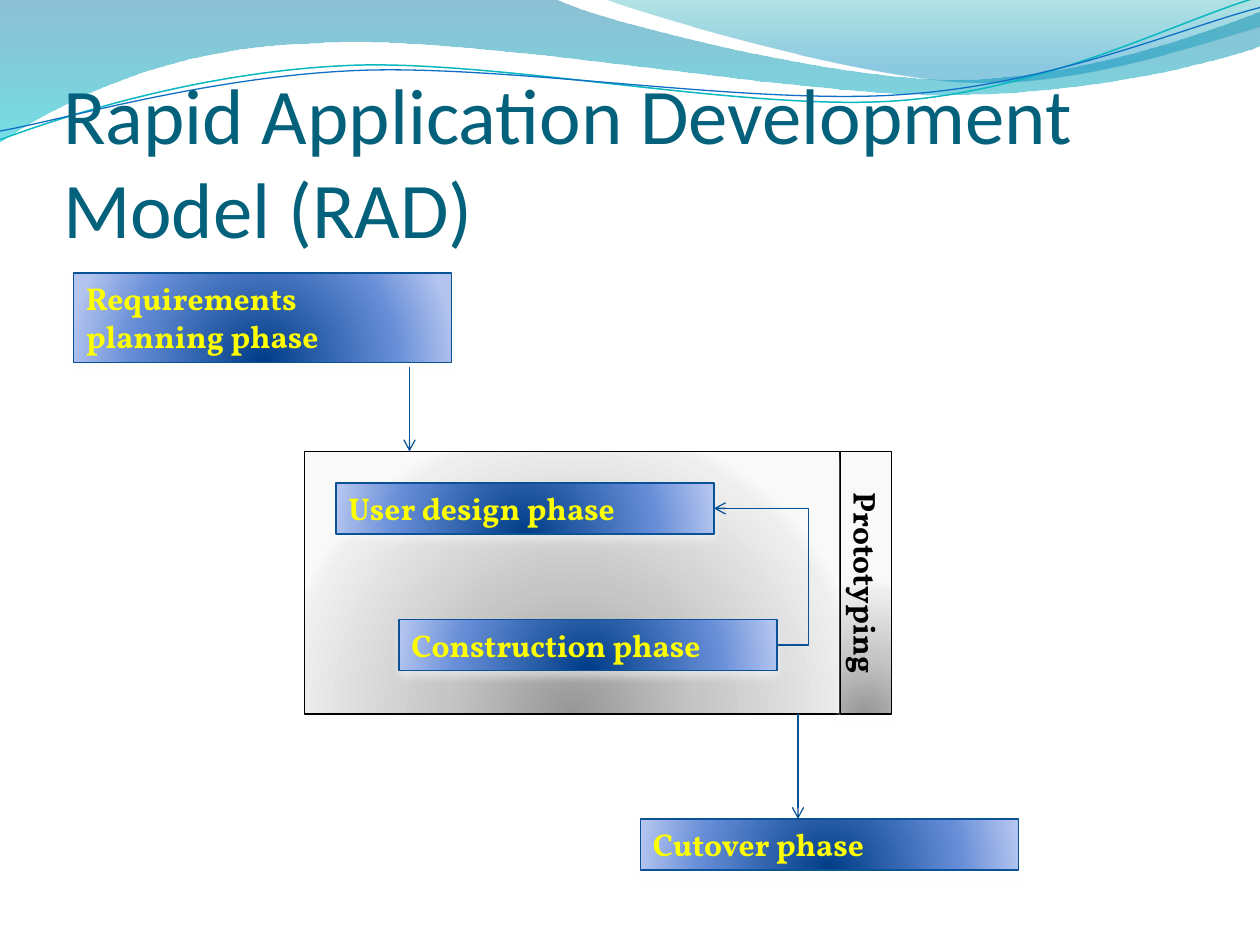
from dataclasses import dataclass
from lxml.etree import SubElement as Sub
from pptx import Presentation
from pptx.dml.color import RGBColor as Rgb
from pptx.enum.shapes import MSO_CONNECTOR as Link, MSO_SHAPE as Kind
from pptx.enum.text import MSO_ANCHOR as Anchor, MSO_AUTO_SIZE as Auto, PP_ALIGN as Align
from pptx.oxml.ns import qn
from pptx.util import Inches, Pt

UNIT = Inches(1) / 12  # the slide is a grid of 120 columns by 90 rows
ROW = 4.85             # height of a box with one line of text


@dataclass(frozen=True)
class Theme:
    head: str = "Calibri"
    body: str = "Vollkorn"
    big: float = 45
    small: float = 18
    thin: float = 0.75
    title: str = "04617B"
    edge: str = "095295"
    label: str = "FFFF00"
    black: str = "000000"
    shade: str = "FFFFFF"
    blue: tuple = ((0, "003D87"), (68, "668DD7"), (100, "B3C4EF"))
    gray: tuple = ((0, "979797"), (43, "C6C6C6"), (93, "EEEEEE"), (100, "F9F9F9"))


T = Theme()

# Each wave: start point, then curves (six numbers) and lines (two), in inches
BANDS = [
    (((0, 0), (4.4, -0.01), (4.76, 0.17, 6.64, 0.63, 7.58, 0.63),
      (8.53, 0.63, 9.58, 0.26, 10, 0.09), (10.01, 0.36),
      (9.83, 0.44, 8.7, 0.76, 7.46, 0.75), (6.22, 0.75, 3.82, 0.28, 2.57, 0.34),
      (1.29, 0.36, 0.46, 0.83, -0.01, 1.13), (0, 0)),
     ((0, "0074A1", 45), (100, "00C6CF", 55))),
    (((4.79, -0.01), (5.09, 0.11, 6.82, 0.62, 7.69, 0.65),
      (8.56, 0.69, 9.61, 0.32, 10, 0.21), (10, 0), (4.79, -0.01)),
     ((0, "00A1A9", 30), (80, "008BBF", 45))),
]
RIMS = [
    (((0, 1.11), (0.48, 0.93, 1.58, 0.57, 2.77, 0.52),
      (3.95, 0.47, 5.93, 0.89, 7.13, 0.8), (8.33, 0.71, 9.38, 0.15, 9.98, -0.02)),
     "0AB8BF", 0.85),
    (((0, 1.04), (0.47, 0.96, 1.64, 0.61, 2.83, 0.56),
      (4.03, 0.51, 5.97, 0.84, 7.17, 0.75), (8.36, 0.67, 9.41, 0.21, 10, 0.06)),
     "0F6FC6", 0.75),
]


def cells(*nums):
    return [round(n * UNIT) for n in nums]


def tint(node, color, alpha=100):
    """Add a colour with its opacity to an XML node."""
    clr = Sub(node, qn("a:srgbClr"), val=color)
    if alpha < 100:
        Sub(clr, qn("a:alpha"), val=str(alpha * 1000))


def blend(shape, stops, glow=False):
    """Fill with a gradient: a glow from below, or straight down."""
    shape.fill.gradient()
    grad = shape._element.spPr.find(qn("a:gradFill"))
    for kid in list(grad):
        grad.remove(kid)
    row = Sub(grad, qn("a:gsLst"))
    for pos, *color in stops:
        tint(Sub(row, qn("a:gs"), pos=str(pos * 1000)), *color)
    if glow:
        ring = Sub(grad, qn("a:path"), path="circle")
        Sub(ring, qn("a:fillToRect"), l="50000", t="130000", r="50000", b="-30000")
    else:
        Sub(grad, qn("a:lin"), ang="5400000", scaled="0")


def stroke(item, color, width=T.thin):
    item.line.color.rgb = Rgb.from_string(color)
    item.line.width = Pt(width)


def wave(slide, steps, close):
    """Outline through the end points, its long sides bent into curves."""
    dots = [(round(s[-2] * 1000), round(s[-1] * 1000)) for s in steps]
    left, top = (min(side) for side in zip(*dots))
    pen = slide.shapes.build_freeform(*dots[0], scale=Inches(1) / 1000)
    pen.add_line_segments(dots[1:], close=close)
    shape = pen.convert_to_shape()
    shape.shadow.inherit = False
    sides = list(shape._element.iter(qn("a:lnTo")))
    for side, step in zip(sides, steps[1:]):
        if len(step) == 6:
            curve = Sub(side.getparent(), qn("a:cubicBezTo"))
            for x, y in zip(step[::2], step[1::2]):
                Sub(curve, qn("a:pt"), x=str(round(x * 1000) - left),
                    y=str(round(y * 1000) - top))
            side.getparent().replace(side, curve)
    return shape


def box(slide, spot, stops, edge):
    """Rectangle with a glowing fill and a soft, light shadow."""
    shape = slide.shapes.add_shape(Kind.RECTANGLE, *cells(*spot))
    blend(shape, stops, glow=True)
    stroke(shape, edge)
    shape.shadow.inherit = False
    drop = Sub(shape._element.spPr.find(qn("a:effectLst")), qn("a:outerShdw"),
               blurRad=str(Pt(4.5)), dist=str(Pt(3)), dir="5400000", rotWithShape="0")
    tint(drop, T.shade, 48)
    return shape


def write(shape, text, color, align=Align.LEFT):
    frame = shape.text_frame
    frame.word_wrap = True
    frame.auto_size = Auto.SHAPE_TO_FIT_TEXT
    frame.vertical_anchor = Anchor.TOP
    para = frame.paragraphs[0]
    para.text, para.alignment = text, align
    font = para.font
    font.name, font.size, font.bold = T.body, Pt(T.small), True
    font.color.rgb = Rgb.from_string(color)


def phase(slide, text, col, row, high=ROW):
    shape = box(slide, (col, row, 36, high), T.blue, T.edge)
    write(shape, text, T.label)
    return shape


def arrow(slide, kind, *ends):
    line = slide.shapes.add_connector(kind, *cells(*ends))
    stroke(line, T.edge)
    Sub(line.line._get_or_add_ln(), qn("a:tailEnd"), type="arrow")
    Sub(line._element.spPr, qn("a:effectLst"))
    return line


def loop(slide, start, end):
    """Elbow arrow between two right sides, bending out past both."""
    line = arrow(slide, Link.ELBOW, 74, 61.4, 68, 48.4)
    line.begin_connect(start, 3)
    line.end_connect(end, 3)
    geom = line._element.spPr.find(qn("a:prstGeom"))
    bends = geom.find(qn("a:avLst"))
    if bends is None:
        bends = Sub(geom, qn("a:avLst"))
    Sub(bends, qn("a:gd"), name="adj1", fmla="val -50000")


def head(slide, text):
    title = slide.shapes.title
    title.left, title.top, title.width, title.height = cells(6, 9.25, 108, 15)
    frame = title.text_frame
    frame.word_wrap, frame.auto_size = True, Auto.NONE
    frame.vertical_anchor = Anchor.BOTTOM
    frame.margin_left = frame.margin_right = frame.margin_bottom = 0
    frame.margin_top = Inches(0.05)
    para = frame.paragraphs[0]
    para.text, para.alignment = text, Align.LEFT
    para.font.name, para.font.size = T.head, Pt(T.big)
    para.font.color.rgb = Rgb.from_string(T.title)
    slide.shapes._spTree.append(title._element)  # above the waves


def main():
    deck = Presentation()
    deck.slide_width, deck.slide_height = cells(120, 90)
    slide = deck.slides.add_slide(deck.slide_layouts[5])

    # Waves along the top
    for steps, stops in BANDS:
        band = wave(slide, steps, True)
        blend(band, stops)
        band.line.fill.background()
    for steps, color, width in RIMS:
        rim = wave(slide, steps, False)
        rim.fill.background()
        stroke(rim, color, width)

    # Prototyping panel and title
    box(slide, (29, 43, 51, 25), T.gray, T.black)
    head(slide, "Rapid Application Development Model (RAD)")

    # Phases
    phase(slide, "Requirements planning phase", 7, 26, 8.5)
    user = phase(slide, "User design phase", 32, 46)
    build = phase(slide, "Construction phase", 38, 59)
    phase(slide, "Cutover phase", 61, 78)

    # Flow
    loop(slide, build, user)
    arrow(slide, Link.STRAIGHT, 39, 35, 39, 43)
    arrow(slide, Link.STRAIGHT, 76, 68, 76, 78)

    # Upright label at the panel's right side
    tab = box(slide, (69.95, 55.5 - ROW / 2, 25, ROW), T.gray, T.black)
    tab.rotation = 90
    write(tab, "Prototyping", T.black, Align.CENTER)

    deck.save("out.pptx")


if __name__ == "__main__":
    main()
